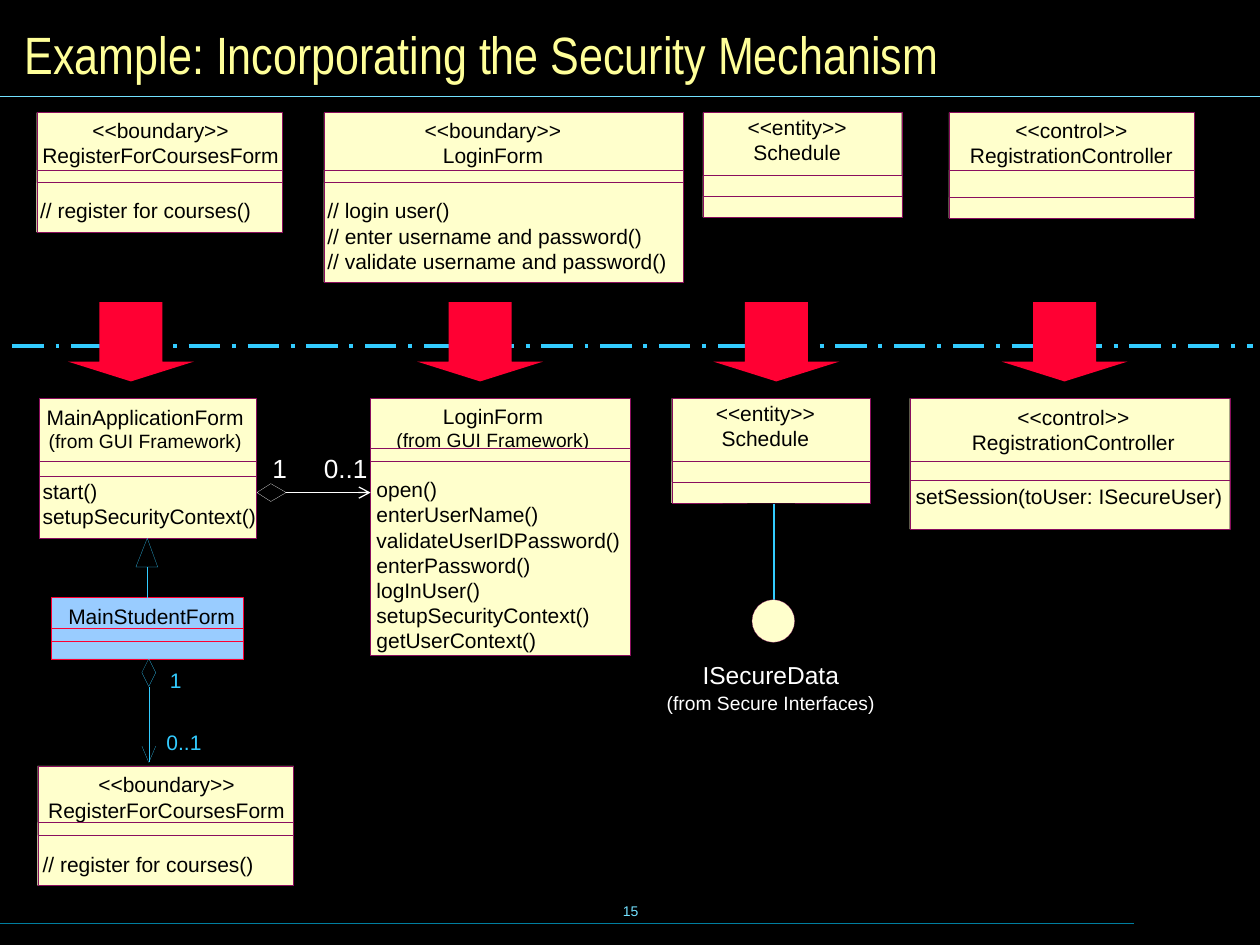
from lxml import etree
from pptx import Presentation
from pptx.dml.color import RGBColor
from pptx.enum.dml import MSO_LINE
from pptx.enum.shapes import MSO_CONNECTOR, MSO_SHAPE
from pptx.enum.text import MSO_ANCHOR, PP_ALIGN
from pptx.oxml.ns import qn
from pptx.util import Cm, Pt

COLORS = {
    "background": "000000", "heading": "FFFF99", "rule": "73E1FF", "footer": "007E9F",
    "class": "FFFFCC", "border": "8A0E5E", "student": "99CCFF", "red": "FF0033",
    "link": "33CCFF", "white": "FFFFFF", "text": "000000",
}
HEADING = "Example: Incorporating the Security Mechanism"
PAGE_NUMBER = "15"
HAIRLINE = 0.1
TOP_ROW, BOTTOM_ROW = 2.27, 8.03
FRAMEWORK = ("(from GUI Framework)", 11)
SCHEDULE = ["<<entity>>", "Schedule"]
CONTROLLER = ["<<control>>", "RegistrationController"]
REGISTER = ["<<boundary>>", "RegisterForCoursesForm"]
REGISTER_METHODS = ["// register for courses()"]

# box: left, top, width, height; dividers: distances below the top;
# title: centre and distance below the top; methods: inset and gap below the last divider
CLASSES = [
    {"box": (0.74, TOP_ROW, 4.95, 2.41), "dividers": (1.16, 1.41),
     "title": (3.24, 0.1, REGISTER), "methods": (0.07, 0.31, REGISTER_METHODS)},
    {"box": (6.53, TOP_ROW, 7.24, 3.42), "dividers": (1.16, 1.41),
     "title": (9.94, 0.1, ["<<boundary>>", "LoginForm"]),
     "methods": (0.07, 0.31, ["// login user()", "// enter username and password()",
                              "// validate username and password()"])},
    {"box": (14.17, TOP_ROW, 4.01, 2.11), "dividers": (1.27, 1.69),
     "title": (16.07, 0.04, SCHEDULE)},
    {"box": (19.13, TOP_ROW, 4.95, 2.13), "dividers": (1.16, 1.71),
     "title": (21.6, 0.1, CONTROLLER)},
    {"box": (0.79, BOTTOM_ROW, 4.37, 2.82), "dividers": (1.27, 1.57),
     "title": (2.93, 0.12, ["MainApplicationForm", FRAMEWORK]),
     "methods": (0.07, 0.05, ["start()", "setupSecurityContext()"])},
    {"box": (7.47, BOTTOM_ROW, 5.23, 5.18), "dividers": (1.01, 1.27),
     "title": (9.94, 0.1, ["LoginForm", FRAMEWORK]),
     "methods": (0.12, 0.31, ["open()", "enterUserName()", "validateUserIDPassword()",
                              "enterPassword()", "logInUser()", "setupSecurityContext()",
                              "getUserContext()"])},
    {"box": (13.54, BOTTOM_ROW, 4.01, 2.11), "dividers": (1.27, 1.69),
     "title": (15.43, 0.04, SCHEDULE)},
    {"box": (18.34, BOTTOM_ROW, 6.45, 2.64), "dividers": (1.27, 1.65), "ruled": True,
     "title": (21.64, 0.12, CONTROLLER),
     "methods": (0.12, 0.07, ["setSession(toUser: ISecureUser)"])},
    {"box": (1.04, 12.04, 3.86, 1.24), "dividers": (0.63, 0.89),
     "title": (3.06, 0.12, ["MainStudentForm"]), "fill": "student", "border": "red"},
    {"box": (0.76, 15.44, 5.16, 2.41), "dividers": (1.14, 1.4),
     "title": (3.36, 0.12, REGISTER), "methods": (0.1, 0.33, REGISTER_METHODS)},
]
# centre, top, text, size, colour
LABELS = [
    (3.54, 13.46, "1", 12, "link"), (3.71, 14.71, "0..1", 12, "link"),
    (5.64, 9.12, "1", 15, "white"), (6.97, 9.12, "0..1", 15, "white"),
    (15.54, 13.31, "ISecureData", 14, "white"),
    (15.54, 13.94, "(from Secure Interfaces)", 11, "white"),
]
# start, end, colour, width
LINKS = [
    ((3, 14.35), (3, 15.37), "link", HAIRLINE), ((3, 15.37), (3.14, 15.04), "link", HAIRLINE),
    ((3, 15.37), (2.86, 15.04), "link", HAIRLINE), ((3, 14.35), (3, 13.84), "link", HAIRLINE),
    ((2.97, 11.43), (2.97, 12.06), "link", 0.75), ((15.6, 10.16), (15.6, 12.09), "link", 0.75),
]
# corners, line colour, fill
MARKERS = [
    ([(2.97, 10.85), (3.18, 11.43), (2.74, 11.43)], "link", None),
    ([(3, 13.28), (3.14, 13.56), (3, 13.84), (2.86, 13.56)], "link", None),
    ([(5.18, 9.93), (5.46, 10.11), (5.77, 9.93), (5.46, 9.75)], "white", "background"),
]
CHANGE_ARROWS = [1.37, 8.41, 14.38, 20.19]

prs = Presentation()
prs.slide_width, prs.slide_height = Cm(25.4), Cm(19.05)
slide = prs.slides.add_slide(prs.slide_layouts[6])


def rgb(name):
    return RGBColor.from_string(COLORS[name])


def paint(shape, fill, border=None):
    shape.shadow.inherit = False
    if fill:
        shape.fill.solid()
        shape.fill.fore_color.rgb = rgb(fill)
    else:
        shape.fill.background()
    if border:
        shape.line.color.rgb = rgb(border)
        shape.line.width = Pt(HAIRLINE)
    else:
        shape.line.fill.background()


def add_box(kind, box, fill, border=None):
    shape = slide.shapes.add_shape(kind, *map(Cm, box))
    paint(shape, fill, border)
    return shape


def add_line(start, end, color, width):
    line = slide.shapes.add_connector(MSO_CONNECTOR.STRAIGHT, *map(Cm, start + end))
    line.line.color.rgb = rgb(color)
    line.line.width = Pt(width)
    etree.SubElement(line._element.spPr, qn("a:effectLst"))
    return line


def add_text(box, lines, size, color, align=PP_ALIGN.LEFT, font="Arial",
             margins=(0, 0), anchor=MSO_ANCHOR.TOP, wrap=False):
    """Each line is a string, or a (string, size) pair."""
    frame = slide.shapes.add_textbox(*map(Cm, box)).text_frame
    frame.word_wrap = wrap
    frame.vertical_anchor = anchor
    frame.margin_left = frame.margin_right = Cm(margins[0])
    frame.margin_top = frame.margin_bottom = Cm(margins[1])
    for index, line in enumerate(lines):
        words, points = line if isinstance(line, tuple) else (line, size)
        paragraph = frame.add_paragraph() if index else frame.paragraphs[0]
        paragraph.alignment = align
        run = paragraph.add_run()
        run.text = words
        run.font.name, run.font.size = font, Pt(points)
        run.font.color.rgb = rgb(color)


def add_centred(centre, top, lines, size, color):
    width = 5.2
    add_text((centre - width / 2, top, width, 0.5 * len(lines)), lines, size, color,
             PP_ALIGN.CENTER)


def add_class(box, dividers, title, methods=None, fill="class", border="border", ruled=False):
    left, top, width, height = box
    add_box(MSO_SHAPE.RECTANGLE, box, fill, border)
    centre, drop, names = title
    add_centred(centre, top + drop, names, 12, "text")
    for offset in dividers:
        y = top + offset
        if ruled:
            add_line((left, y), (left + width, y), border, 0.75)
        else:
            add_box(MSO_SHAPE.RECTANGLE, (left, y, width, height - offset), fill, border)
    if methods:
        inset, gap, calls = methods
        add_text((left + inset, top + dividers[-1] + gap, width + 0.2, 0.5 * len(calls)),
                 calls, 12, "text")


slide.background.fill.solid()
slide.background.fill.fore_color.rgb = rgb("background")
add_text((8.69, 17.73, 8.05, 1.27), [PAGE_NUMBER], 8, "rule", PP_ALIGN.CENTER,
         margins=(0.25, 0.13), anchor=MSO_ANCHOR.MIDDLE)
add_line((0, 18.62), (22.86, 18.62), "footer", 0.75)
add_line((0, 1.94), (25.4, 1.94), "rule", 0.75)
add_text((0.25, 0.34, 24.99, 1.47), [HEADING], 30, "heading", font="Arial Narrow",
         margins=(0.25, 0.13), anchor=MSO_ANCHOR.MIDDLE, wrap=True)

for uml_class in CLASSES:
    add_class(**uml_class)
for link in LINKS:
    add_line(*link)
for corners, border, fill in MARKERS:
    points = [(Cm(x), Cm(y)) for x, y in corners]
    builder = slide.shapes.build_freeform(*points[0])
    builder.add_line_segments(points[1:], close=True)
    paint(builder.convert_to_shape(), fill, border)

association = add_line((5.77, 9.93), (7.47, 9.93), "white", 0.75)
etree.SubElement(association.line._get_or_add_ln(), qn("a:tailEnd"), type="arrow")
add_box(MSO_SHAPE.OVAL, (15.16, 12.09, 0.86, 0.86), "class", "border")
for label_centre, label_top, label, points, color in LABELS:
    add_centred(label_centre, label_top, [label], points, color)

separator = add_line((0.25, 6.98), (25.25, 6.98), "link", 2.25)
separator.line.dash_style = MSO_LINE.LONG_DASH_DOT
for left in CHANGE_ARROWS:
    arrow = add_box(MSO_SHAPE.DOWN_ARROW, (left, 6.09, 2.54, 1.6), "red")
    arrow.adjustments[0], arrow.adjustments[1] = 0.5, 0.25

prs.save("out.pptx")
